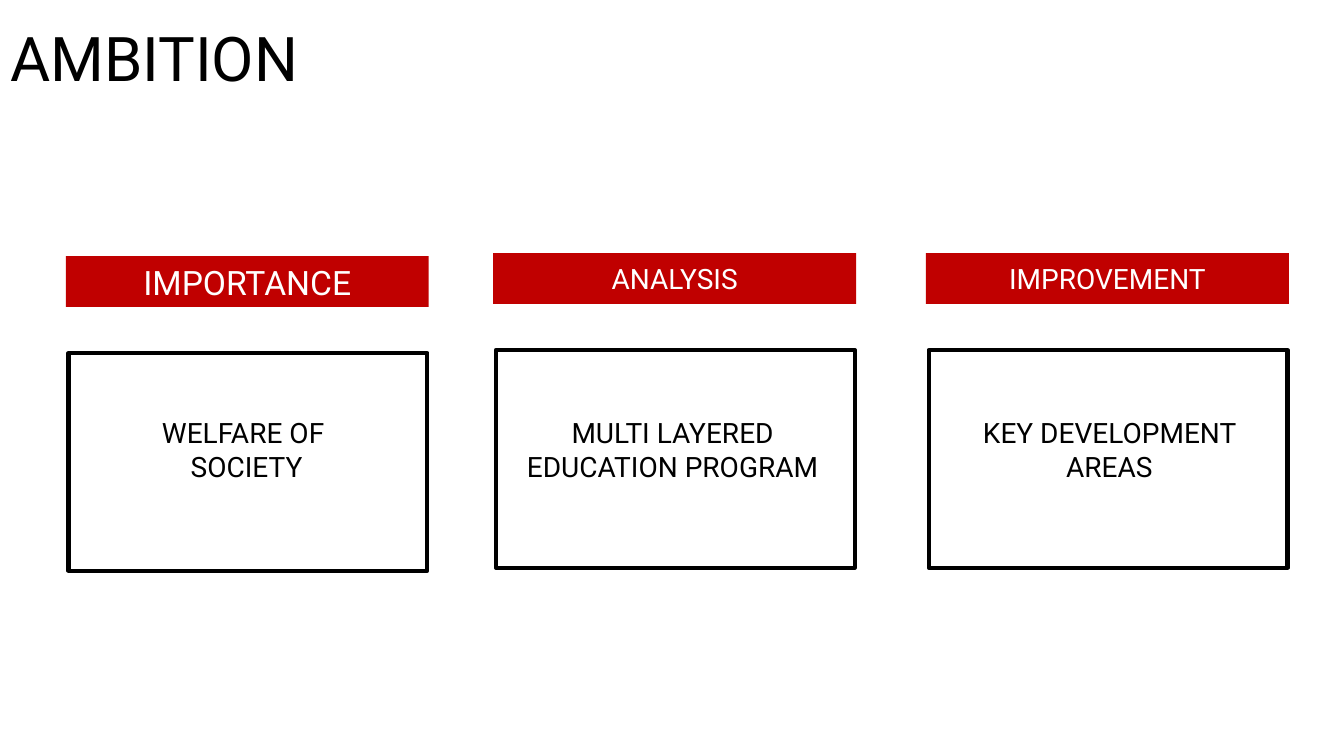
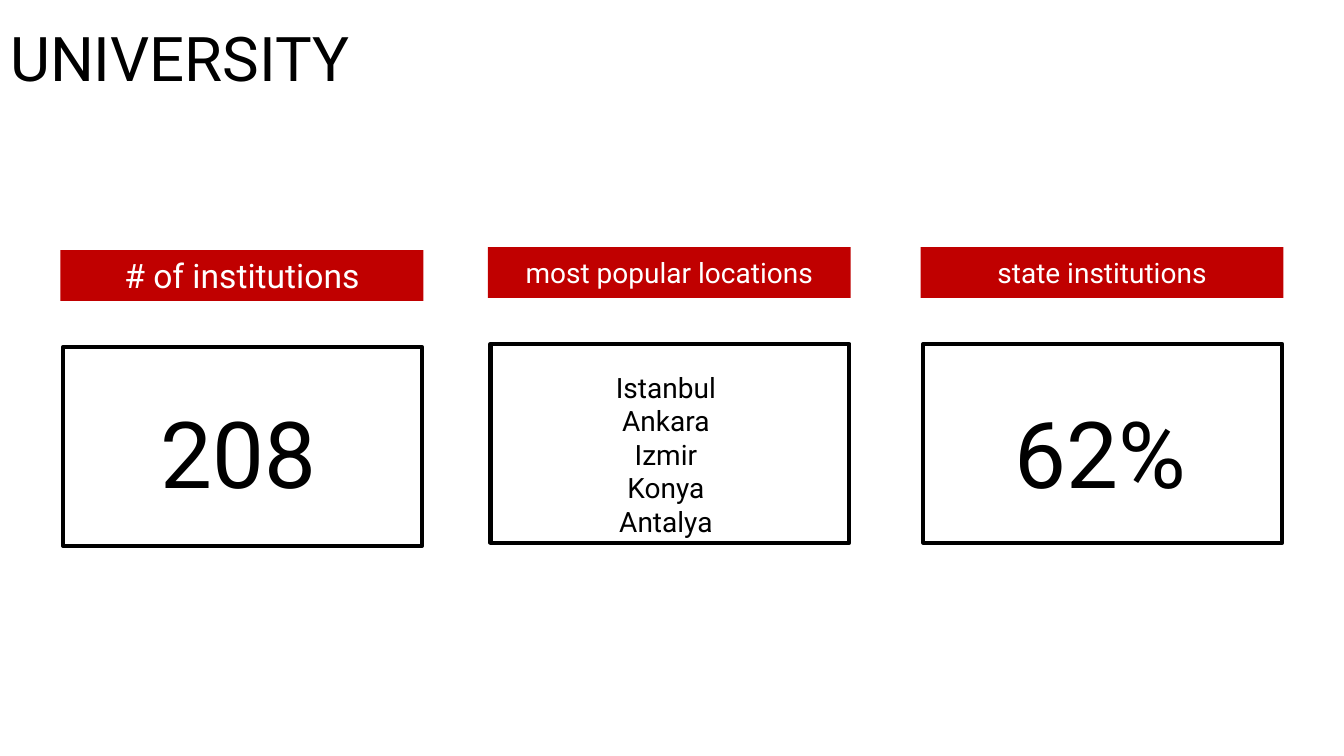
from dataclasses import dataclass

from pptx import Presentation
from pptx.dml.color import RGBColor
from pptx.enum.shapes import MSO_SHAPE
from pptx.enum.text import MSO_ANCHOR, MSO_AUTO_SIZE, PP_ALIGN
from pptx.util import Inches, Pt

COLOURS = {"ink": "000000", "band": "C00000", "paper": "FFFFFF"}
FONT = "Roboto"
GRID = 100
TITLE_ONLY = 5
CARD_COLUMNS = (0, 31.8, 64)
CARD_DROPS = (0.4, 0, 0)
HEADING_SIZES = (24, 20, 20)


@dataclass
class Card:
    heading: str
    lines: tuple
    size: int = 20
    row: float = 20.8
    height: float = 10.3
    shift: float = 0


def write(shape, lines, size=20, colour="ink", align=PP_ALIGN.CENTER, anchor=MSO_ANCHOR.TOP):
    frame = shape.text_frame
    frame.word_wrap = True
    frame.auto_size = MSO_AUTO_SIZE.NONE
    frame.vertical_anchor = anchor
    for index, line in enumerate(lines):
        para = frame.add_paragraph() if index else frame.paragraphs[0]
        para.alignment = align
        span = para.add_run()
        span.text = line
        span.font.name = FONT
        span.font.size = Pt(size)
        span.font.color.rgb = RGBColor.from_string(COLOURS[colour])


class Deck:
    def __init__(self):
        self.presentation = Presentation()
        self.presentation.slide_width = Inches(13.33)
        self.presentation.slide_height = Inches(7.5)
        self.page = None

    def place(self, column, row, columns, rows):
        width = self.presentation.slide_width / GRID
        height = self.presentation.slide_height / GRID
        return [round(length) for length in
                (column * width, row * height, columns * width, rows * height)]

    def add_page(self, title):
        layout = self.presentation.slide_layouts[TITLE_ONLY]
        self.page = self.presentation.slides.add_slide(layout)
        box = self.page.shapes.title
        box.left, box.top, box.width, box.height = self.place(0, 0, GRID, 15)
        write(box, [title], size=44, align=PP_ALIGN.LEFT, anchor=MSO_ANCHOR.MIDDLE)

    def rectangle(self, *area):
        box = self.page.shapes.add_shape(MSO_SHAPE.RECTANGLE, *self.place(*area))
        box.shadow.inherit = False
        return box

    def band(self, column, row, heading, size):
        box = self.rectangle(column, row, 27, 6.7)
        box.fill.solid()
        box.fill.fore_color.rgb = RGBColor.from_string(COLOURS["band"])
        box.line.fill.background()
        write(box, [heading], size=size, colour="paper", anchor=MSO_ANCHOR.MIDDLE)

    def frame(self, column, row, height):
        box = self.rectangle(column, row, 26.7, height)
        box.fill.background()
        box.line.color.rgb = RGBColor.from_string(COLOURS["ink"])
        box.line.width = Pt(3)

    def text(self, column, row, height, lines, size):
        box = self.page.shapes.add_textbox(*self.place(column, row, 26.5, height))
        write(box, lines, size=size)

    def cards(self, left, top, frame_height, cards):
        for card, offset, drop, size in zip(cards, CARD_COLUMNS, CARD_DROPS, HEADING_SIZES):
            column = left + offset
            self.frame(column + 0.2, top + 12.8 + drop, frame_height)
            self.band(column, top + drop, card.heading, size)
            self.text(column + card.shift, top + card.row, card.height, card.lines, card.size)

    def save(self):
        self.presentation.save("out.pptx")


def main():
    deck = Deck()

    deck.add_page("AMBITION")
    deck.cards(4.9, 33.5, 28.8, [
        Card("IMPORTANCE", ("WELFARE OF ", "SOCIETY"), shift=0.2),
        Card("ANALYSIS", ("MULTI LAYERED", "EDUCATION PROGRAM"), shift=0.1),
        Card("IMPROVEMENT", ("KEY DEVELOPMENT AREAS",), shift=0.4),
    ])

    deck.add_page("UNIVERSITY")
    figure = {"size": 66, "row": 19.1, "height": 16.2}
    cities = ("Istanbul", "Ankara", "Izmir", "Konya", "Antalya")
    deck.cards(4.5, 32.7, 26.3, [
        Card("# of institutions", ("208",), **figure),
        Card("most popular locations", cities, row=15.6, height=23.7),
        Card("state institutions", ("62%",), shift=0.1, **figure),
    ])

    deck.save()


if __name__ == "__main__":
    main()
